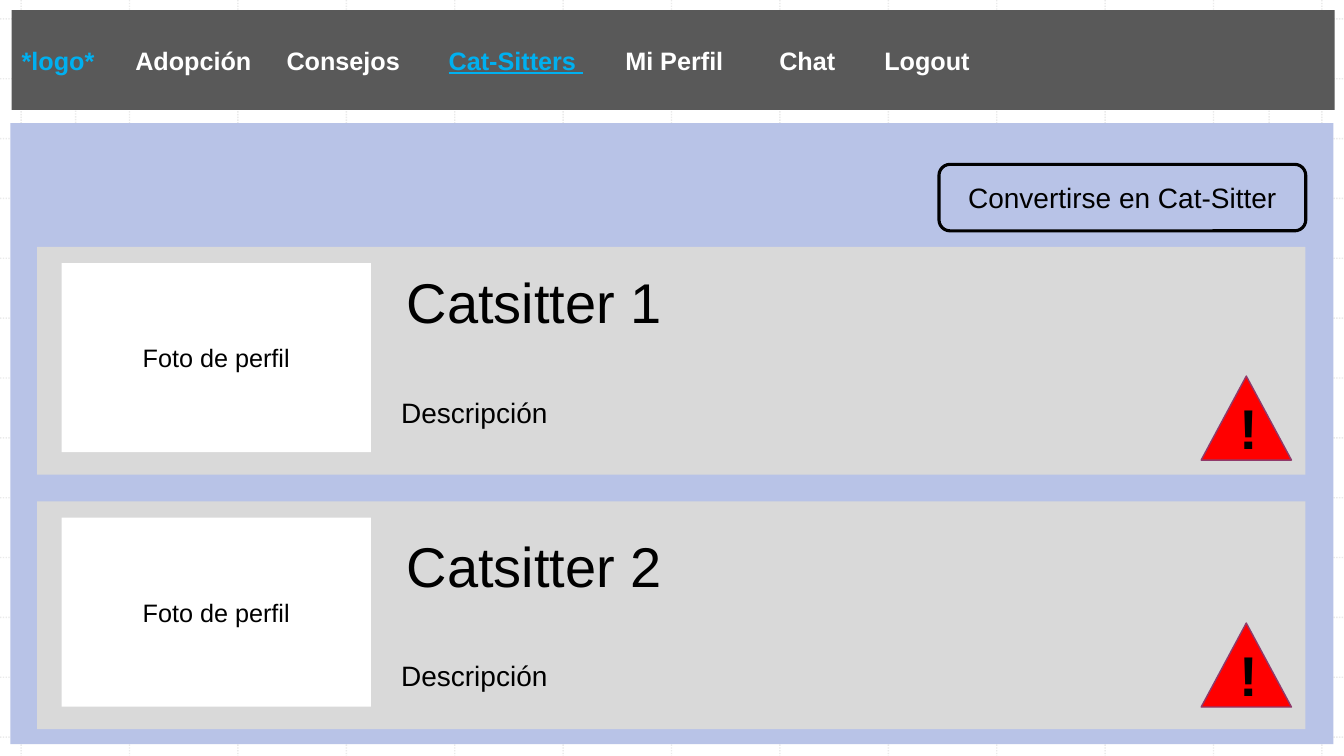
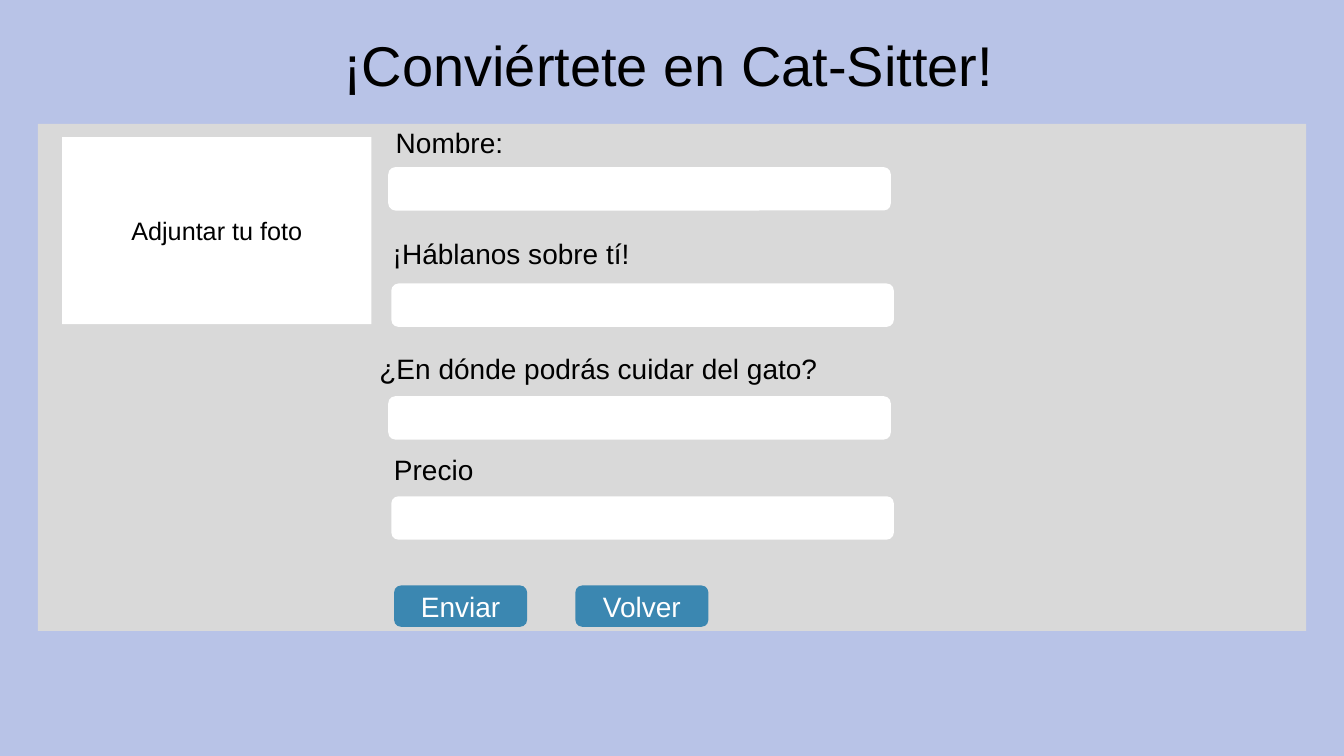
from lxml import etree
from pptx import Presentation
from pptx import util as u
from pptx.dml.color import RGBColor
from pptx.enum import dml, shapes, text
from pptx.oxml.ns import qn

Pt = u.Pt
C = {
    "black": "000000", "white": "FFFFFF", "panel": "B8C3E7", "card": "D9D9D9",
    "nav": "595959", "accent": "00B0F0", "alert": "FF0000", "alert_line": "90396A",
    "button": "3B87B1", "grid": "BCBCBC",
}
RECT = shapes.MSO_SHAPE.RECTANGLE
ROUND = shapes.MSO_SHAPE.ROUNDED_RECTANGLE
TRIANGLE = shapes.MSO_SHAPE.ISOSCELES_TRIANGLE
CENTER, LEFT = text.PP_ALIGN.CENTER, text.PP_ALIGN.LEFT
MIDDLE, TOP = text.MSO_ANCHOR.MIDDLE, text.MSO_ANCHOR.TOP


def write(sp, txt, size=20, color="black", bold=False, underline=False,
          align=CENTER, anchor=TOP, p=None):
    tf = sp.text_frame
    tf.word_wrap = True
    tf.vertical_anchor = anchor
    p = p or tf.paragraphs[0]
    p.alignment = align
    r = p.add_run()
    r.text = txt
    r.font.name = "Arial"
    r.font.size = Pt(size)
    r.font.bold = bold
    r.font.underline = underline
    r.font.color.rgb = RGBColor.from_string(C[color])
    return p


def box(s, kind, x, y, w, h, fill=None, line=None, weight=1):
    sp = s.shapes.add_shape(kind, Pt(x), Pt(y), Pt(w), Pt(h))
    sp.shadow.inherit = False
    if fill:
        sp.fill.solid()
        sp.fill.fore_color.rgb = RGBColor.from_string(C[fill])
    else:
        sp.fill.background()
    if line:
        sp.line.color.rgb = RGBColor.from_string(C[line])
        sp.line.width = Pt(weight)
    else:
        sp.line.fill.background()
    return sp


prs = Presentation()
W, H = 960, 540
prs.slide_width, prs.slide_height = Pt(W), Pt(H)

s = prs.slides.add_slide(prs.slide_layouts[6])
grid = [(15.1 + 77.43 * i, 0, 15.1 + 77.43 * i, H) for i in range(13)]
grid += [(0, 13.5 + 42.75 * i, W, 13.5 + 42.75 * i) for i in range(13)]
grid += [(x, 13.5, x, 526.5) for x in (54, 906.5)]
master_tree = prs.slide_master.shapes.element
for i, (x1, y1, x2, y2) in enumerate(grid):
    cn = s.shapes.add_connector(shapes.MSO_CONNECTOR.STRAIGHT, Pt(x1), Pt(y1), Pt(x2), Pt(y2))
    cn.line.color.rgb = RGBColor.from_string(C["grid"])
    cn.line.width = Pt(1)
    cn.line.dash_style = dml.MSO_LINE.ROUND_DOT
    spPr = cn.element.spPr
    clr = next(spPr.iter(qn("a:srgbClr")))
    etree.SubElement(clr, qn("a:alpha"), val="30000")
    etree.SubElement(spPr, qn("a:effectLst"))
    next(cn.element.iter(qn("p:cNvPr"))).set("id", str(100 + i))
    master_tree.insert(2 + i, cn.element)

box(s, RECT, 7.5, 88, 945, 443.5, "panel")
cards = [("Catsitter 1", 176.4, 187.9, 268.6), ("Catsitter 2", 358.2, 375.8, 445)]
for name, top, text_top, alert_top in cards:
    box(s, RECT, 26.5, top, 906, 162.7, "card")
    tb = s.shapes.add_textbox(Pt(279.4), Pt(text_top), Pt(204.5), Pt(124))
    write(tb, name, size=40)
    p = write(tb, "Descripción", align=LEFT, p=tb.text_frame.add_paragraph())
    p.space_before = Pt(43)
    photo = box(s, RECT, 44, top + 11.6, 221, 135, "white")
    write(photo, "Foto de perfil", size=18, anchor=MIDDLE)
    box(s, TRIANGLE, 858, alert_top, 64.5, 60, "alert", "alert_line")
    tb = s.shapes.add_textbox(Pt(879.6), Pt(alert_top + 8.8), Pt(24.5), Pt(55.4))
    tb.text_frame.margin_left = tb.text_frame.margin_right = 0
    write(tb, "!", size=40, bold=True)

join = box(s, ROUND, 670.7, 117.4, 262, 47.5, line="black", weight=2.25)
write(join, "Convertirse en Cat-Sitter", anchor=MIDDLE)

nav = box(s, RECT, 8.4, 7.2, 945, 71.3, "nav")
p = None
for txt, color, underline in [
    ("*logo*\t", "accent", False),
    ("Adopción\tConsejos\t", "white", False),
    ("Cat-Sitters ", "accent", True),
    ("\tMi Perfil\tChat\tLogout", "white", False),
]:
    p = write(nav, txt, size=18, color=color, bold=True, underline=underline,
              align=LEFT, anchor=MIDDLE, p=p)
tabs = etree.SubElement(p._p.get_or_add_pPr(), qn("a:tabLst"))
for pos in (81.2, 189.2, 305, 431.2, 541.2, 616.2):
    etree.SubElement(tabs, qn("a:tab"), pos=str(Pt(pos)), algn="l")

s = prs.slides.add_slide(prs.slide_layouts[5])
box(s, RECT, 0, 0, W, H, "panel")
title = s.shapes.title
s.shapes.element.append(title.element)
title.left, title.top, title.width, title.height = Pt(229.3), Pt(18.3), Pt(496), Pt(55.5)
write(title, "¡Conviértete en Cat-Sitter!", size=40)

box(s, RECT, 27, 88.5, 906, 362.2, "card")
photo = box(s, RECT, 44.4, 98, 221, 133.5, "white")
write(photo, "Adjuntar tu foto", size=18, anchor=MIDDLE)

for label, x, y, w, field_x, field_y in [
    ("Nombre:", 214.6, 86.2, 213, 277.3, 119.4),
    ("¡Háblanos sobre tí!", 258.7, 165.6, 213, 279.5, 202.5),
    ("¿En dónde podrás cuidar del gato?", 238.5, 247.6, 378, 277.3, 283),
    ("Precio", 203.3, 319.7, 213, 279.5, 354.5),
]:
    tb = s.shapes.add_textbox(Pt(x), Pt(y), Pt(w), Pt(31.5))
    write(tb, label)
    box(s, ROUND, field_x, field_y, 359, 31, "white")

for label, x in [("Enviar", 281.5), ("Volver", 411)]:
    button = box(s, ROUND, x, 418.2, 95, 29.5, "button")
    write(button, label, color="white", anchor=MIDDLE)

prs.save("out.pptx")
